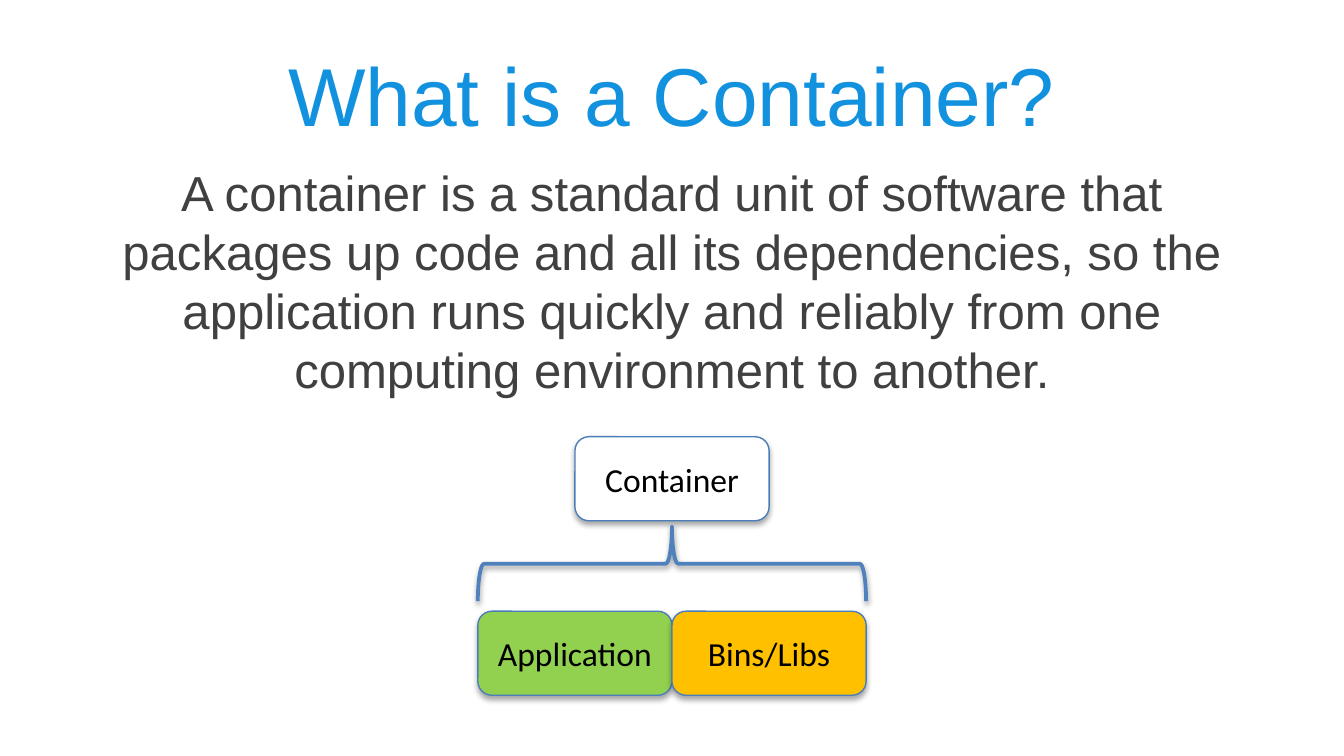
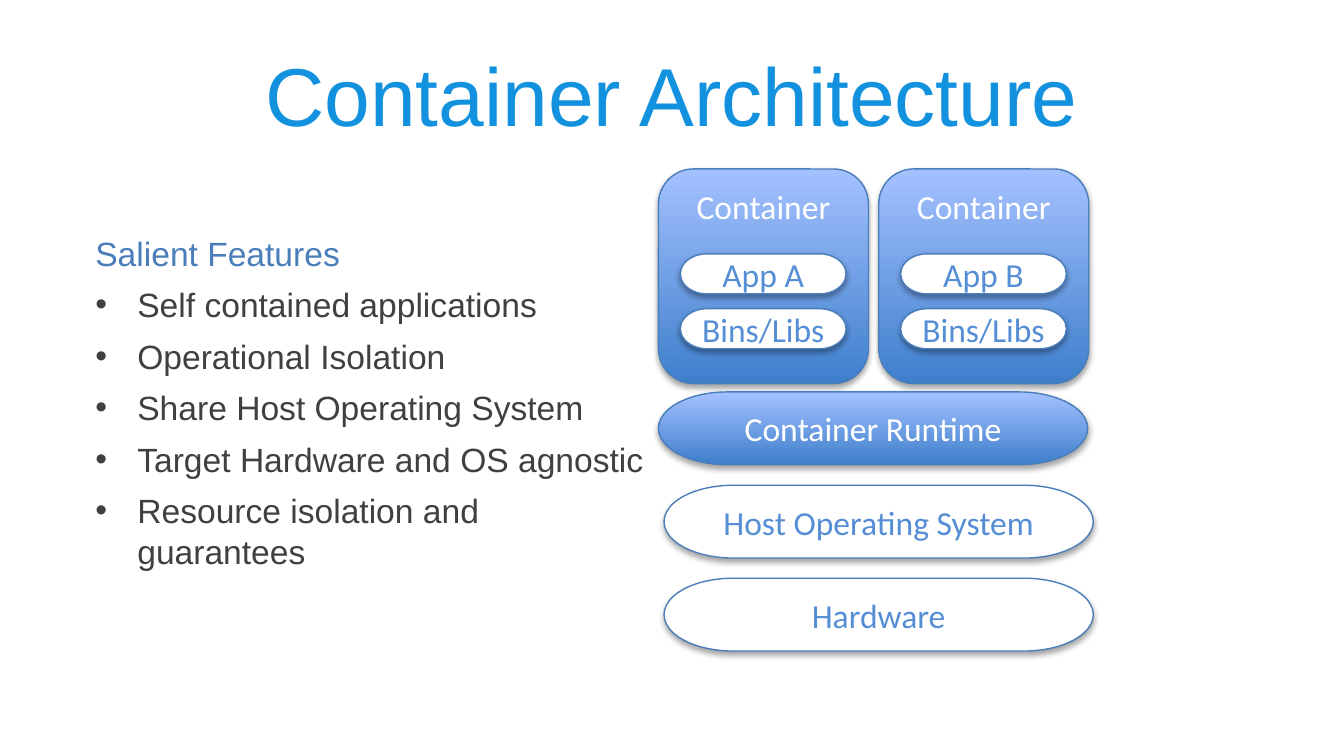
from dataclasses import dataclass

from lxml.etree import SubElement
from pptx import Presentation
from pptx.dml.color import RGBColor
from pptx.enum.shapes import MSO_SHAPE
from pptx.enum.text import MSO_ANCHOR, PP_ALIGN
from pptx.oxml.ns import qn
from pptx.util import Pt


@dataclass(frozen=True)
class Theme:
    heading_font: str = "Arial"
    label_font: str = "Calibri"
    title_size: float = 44
    body_size: float = 26.3
    label_size: float = 18
    title: str = "1292DE"
    body: str = "404040"
    outline: str = "4A7EBB"
    brace: str = "4F81BD"
    black: str = "000000"
    white: str = "FFFFFF"
    green: str = "92D050"
    amber: str = "FFC000"
    pill_text: str = "558ED5"
    gradient: tuple = ("3E7FCC", "A4C1FF")


THEME = Theme()


def rgb(color):
    return RGBColor.from_string(color)


def set_font(paragraph, name, size, color):
    paragraph.font.name = name
    paragraph.font.size = Pt(size)
    paragraph.font.color.rgb = rgb(color)


def add_text_box(page, left, top, width, height, anchor=MSO_ANCHOR.TOP):
    box = page.shapes.add_textbox(Pt(left), Pt(top), Pt(width), Pt(height))
    frame = box.text_frame
    frame.word_wrap = True
    frame.vertical_anchor = anchor
    return frame


def add_centred_text(page, text, top, height, size, color, anchor=MSO_ANCHOR.TOP):
    para = add_text_box(page, 36, top, 648, height, anchor).paragraphs[0]
    para.text = text
    para.alignment = PP_ALIGN.CENTER
    set_font(para, THEME.heading_font, size, color)


def add_page(deck, title):
    page = deck.slides.add_slide(deck.slide_layouts[6])
    add_centred_text(page, title, 16.5, 67.5, THEME.title_size, THEME.title,
                     MSO_ANCHOR.MIDDLE)
    return page


def add_shadow(shape, opacity, distance):
    """Cast a soft black shadow straight down."""
    shape.shadow.inherit = False
    effects = shape.element.spPr.find(qn("a:effectLst"))
    shadow = SubElement(effects, qn("a:outerShdw"), blurRad=str(Pt(3.1)),
                        dist=str(Pt(distance)), dir="5400000", rotWithShape="0")
    color = SubElement(shadow, qn("a:srgbClr"), val=THEME.black)
    SubElement(color, qn("a:alpha"), val=str(opacity * 1000))


def set_fill(shape, fill):
    """Fill with one colour, or with a pair running from bottom to top."""
    if isinstance(fill, str):
        shape.fill.solid()
        shape.fill.fore_color.rgb = rgb(fill)
        return
    shape.fill.gradient()
    shape.fill.gradient_angle = 90
    for stop, color in zip(shape.fill.gradient_stops, fill):
        stop.color.rgb = rgb(color)


def add_block(page, kind, text, left, top, width, height, fill, color,
              anchor=MSO_ANCHOR.MIDDLE):
    block = page.shapes.add_shape(kind, Pt(left), Pt(top), Pt(width), Pt(height))
    set_fill(block, fill)
    block.line.color.rgb = rgb(THEME.outline)
    block.line.width = Pt(0.75)
    add_shadow(block, 35, 1.8)
    block.text_frame.word_wrap = True
    block.text_frame.vertical_anchor = anchor
    para = block.text_frame.paragraphs[0]
    para.text = text
    para.alignment = PP_ALIGN.CENTER
    set_font(para, THEME.label_font, THEME.label_size, color)


def add_pill(page, text, left, top, width, height, fill=THEME.white,
             color=THEME.pill_text):
    add_block(page, MSO_SHAPE.FLOWCHART_TERMINATOR, text, left, top, width,
              height, fill, color)


def add_brace(page, left, top, width, height):
    """Add a brace that is turned to open downwards."""
    brace = page.shapes.add_shape(MSO_SHAPE.RIGHT_BRACE, Pt(left), Pt(top),
                                  Pt(width), Pt(height))
    brace.rotation = 270
    brace.fill.background()
    brace.line.color.rgb = rgb(THEME.brace)
    brace.line.width = Pt(2)
    add_shadow(brace, 38, 1.6)


def add_bullet(paragraph, indent):
    properties = paragraph._p.get_or_add_pPr()
    properties.set("marL", str(Pt(indent)))
    properties.set("indent", str(-Pt(indent)))
    color = SubElement(properties, qn("a:buClr"))
    SubElement(color, qn("a:srgbClr"), val=THEME.body)
    SubElement(properties, qn("a:buFont"), typeface=THEME.heading_font)
    SubElement(properties, qn("a:buChar"), char="•")


def add_feature_list(page, heading, features):
    frame = add_text_box(page, 44, 121, 309, 167)
    first = frame.paragraphs[0]
    first.text = heading
    set_font(first, THEME.heading_font, THEME.label_size, THEME.outline)
    for feature in features:
        para = frame.add_paragraph()
        para.text = feature
        add_bullet(para, 22.5)
        para.space_before = Pt(6)
        set_font(para, THEME.heading_font, THEME.label_size, THEME.body)


def add_container(page, left, app):
    add_block(page, MSO_SHAPE.ROUNDED_RECTANGLE, "Container", left, 90.5, 112.5,
              115, THEME.gradient, THEME.white, MSO_ANCHOR.TOP)
    for row, text in enumerate((app, "Bins/Libs")):
        add_pill(page, text, left + 11.75, 136 + row * 29.4, 88.75, 21.5)


def build_definition(deck):
    page = add_page(deck, "What is a Container?")
    add_centred_text(
        page,
        "A container is a standard unit of software that packages up code and "
        "all its dependencies, so the application runs quickly and reliably "
        "from one computing environment to another.",
        83.5, 157, THEME.body_size, THEME.body)
    width, height, middle = 104, 45, 360
    parts = (("Application", middle - width, 327.5, THEME.green),
             ("Bins/Libs", middle, 327.5, THEME.amber),
             ("Container", middle - width / 2, 234, THEME.white))
    for text, left, top, fill in parts:
        add_block(page, MSO_SHAPE.ROUNDED_RECTANGLE, text, left, top, width,
                  height, fill, THEME.black)
    add_brace(page, middle - 20, 198, 40, 2 * width)


def build_architecture(deck):
    page = add_page(deck, "Container Architecture")
    for column, app in enumerate(("App A", "App B")):
        add_container(page, 352.75 + column * 118, app)
    add_pill(page, "Container Runtime", 352.75, 210, 230, 39,
             THEME.gradient, THEME.white)
    for row, text in enumerate(("Host Operating System", "Hardware")):
        add_pill(page, text, 355.75, 260 + row * 49.8, 230, 39)
    add_feature_list(page, "Salient Features", (
        "Self contained applications",
        "Operational Isolation",
        "Share Host Operating System",
        "Target Hardware and OS agnostic",
        "Resource isolation and guarantees",
    ))


def main():
    deck = Presentation()
    deck.slide_width, deck.slide_height = Pt(720), Pt(405)
    build_definition(deck)
    build_architecture(deck)
    deck.save("out.pptx")


if __name__ == "__main__":
    main()
